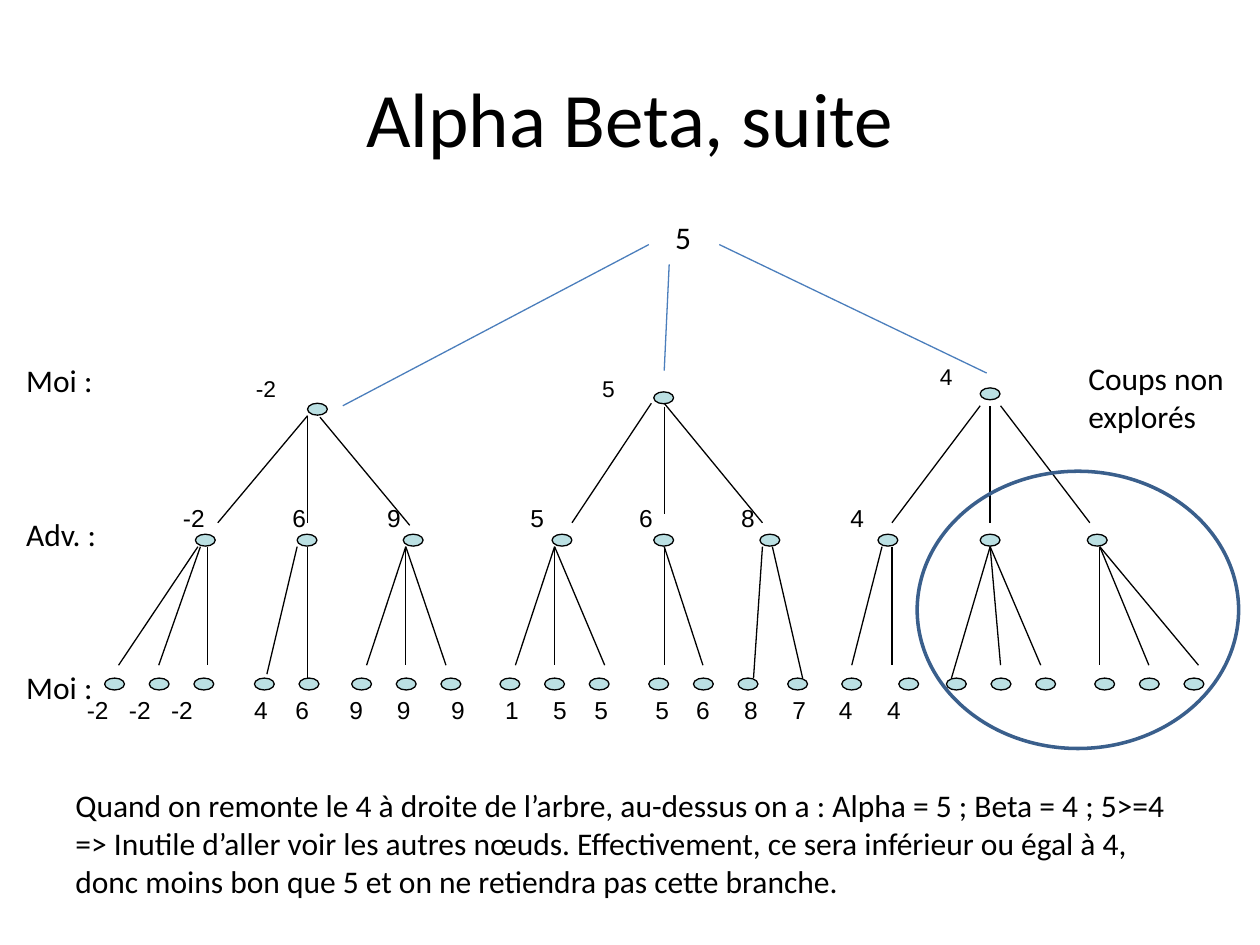
"""Build the alpha-beta pruning slide with its game tree."""
from lxml.etree import SubElement
from pptx import Presentation
from pptx.dml.color import RGBColor
from pptx.enum.shapes import MSO_CONNECTOR as Connector, MSO_SHAPE as Shape
from pptx.enum.text import MSO_ANCHOR as Anchor, PP_ALIGN as Align
from pptx.oxml.ns import qn
from pptx.util import Cm, Pt

THEME = {
    "black": RGBColor.from_string("000000"),
    "node": RGBColor.from_string("BBE0E3"),
    "root_line": RGBColor.from_string("4B7EBC"),
    "pruned": RGBColor.from_string("3A5F8C"),
    "text_font": "Calibri",
    "value_font": "Arial",
    "title_size": 44,
    "text_size": 18,
    "row_size": 14,
    "value_size": 13,
}

presentation = Presentation()
presentation.slide_width, presentation.slide_height = Cm(25.4), Cm(19.05)
slide = presentation.slides.add_slide(presentation.slide_layouts[6])


def add_text(text, left, top, width, height, size="text_size", font="text_font"):
    box = slide.shapes.add_textbox(Cm(left), Cm(top), Cm(width), Cm(height))
    frame = box.text_frame
    frame.word_wrap = True
    if font == "value_font":
        frame.margin_left = frame.margin_right = Cm(0.18)
        frame.margin_top = frame.margin_bottom = Cm(0.08)
    frame.text = text
    for paragraph in frame.paragraphs:
        for run in paragraph.runs:
            run.font.size = Pt(THEME[size])
            run.font.name = THEME[font]
            run.font.color.rgb = THEME["black"]
    return frame


def add_line(start_x, start_y, end_x, end_y, color="black"):
    line = slide.shapes.add_connector(
        Connector.STRAIGHT, Cm(start_x), Cm(start_y), Cm(end_x), Cm(end_y))
    line.line.color.rgb = THEME[color]
    line.line.width = Pt(0.75)
    SubElement(line._element.spPr, qn("a:effectLst"))


title = add_text("Alpha Beta, suite", 1.27, 0.76, 22.86, 3.18, "title_size")
title.vertical_anchor = Anchor.MIDDLE
title.paragraphs[0].alignment = Align.CENTER

nodes = [(6.2, 8.13), (13.18, 7.9), (19.76, 7.82)]
nodes += [(left, 10.77) for left in
          (3.94, 5.99, 8.13, 11.13, 13.18, 15.32, 17.7, 19.76, 21.92)]
leaf_groups = [
    (2.11, 3, 0.9), (5.13, 2, 0.9), (7.09, 3, 0.9),
    (10.08, 3, 0.9), (13.08, 2, 0.9), (14.88, 2, 1),
    (16.97, 2, 1.15), (19.08, 3, 0.9), (22.07, 3, 0.9),
]
for first_left, count, step in leaf_groups:
    nodes += [(first_left + index * step, 13.67) for index in range(count)]
for left, top in nodes:
    node = slide.shapes.add_shape(Shape.OVAL, Cm(left), Cm(top), Cm(0.4), Cm(0.24))
    node.shadow.inherit = False
    node.fill.solid()
    node.fill.fore_color.rgb = THEME["node"]
    node.line.color.rgb = THEME["black"]
    node.line.width = Pt(0.75)

SHORT, LONG = 13.41, 13.67
leaf_branches = [
    (3.99, SHORT, [2.39]), (4.04, SHORT, [3.2]), (4.19, SHORT, [4.19]),
    (5.99, 13.59, [5.38]), (6.2, LONG, [6.2]),
    (8.18, SHORT, [7.39, 8.18, 8.99]),
    (11.18, SHORT, [10.39, 11.18, 12.19]),
    (13.39, SHORT, [13.39, 14.17]),
    (15.37, LONG, [15.19]), (15.57, LONG, [16.18]),
    (17.78, SHORT, [17.17]), (17.98, SHORT, [17.98]),
    (19.96, LONG, [19.18]), (19.96, SHORT, [20.17, 20.98]),
    (22.17, SHORT, [22.17, 23.16, 24.16]),
]
for start_x, end_y, ends in leaf_branches:
    for end_x in ends:
        add_line(start_x, 11.02, end_x, end_y)

upper_branches = [
    (6.2, 8.38, 4.39, 10.54), (6.2, 8.38, 6.2, 10.54), (6.45, 8.41, 8.26, 10.59),
    (13.13, 8.13, 11.53, 10.54), (13.39, 8.2, 13.39, 10.36),
    (13.39, 8.13, 15.37, 10.54),
    (19.76, 8.18, 17.98, 10.54), (19.96, 8.18, 19.96, 10.54),
    (20.17, 8.18, 21.97, 10.54),
]
for branch in upper_branches:
    add_line(*branch)

value_rows = [
    (1.57, 13.94, 22.5, "-2 -2 -2 4 6 9 9 9 1 5 5 5 6 8 7 4 4",
     [2.82, 3.67, 5.26, 6.09, 7.18, 8.14, 9.23, 10.32, 11.29, 12.12,
      13.35, 14.17, 15.14, 16.11, 17.05, 18.02]),
    (3.51, 10.06, 20, "-2 6 9 5 6 8 4",
     [6.03, 7.94, 10.83, 13.02, 15.08, 17.28]),
]
for left, top, width, values, centers in value_rows:
    row = add_text("\t".join(values.split()), left, top, width, 1.12,
                   "row_size", "value_font")
    properties = row.paragraphs[0]._p.get_or_add_pPr()
    tab_list = SubElement(properties, qn("a:tabLst"))
    for center in centers:
        SubElement(tab_list, qn("a:tab"), pos=str(int(Cm(center - left - 0.18))), algn="ctr")

for value, left, top in [("-2", 4.98, 7.47), ("5", 11.96, 7.47), ("4", 18.77, 7.24)]:
    add_text(value, left, top, 1.19, 1.32, "value_size", "value_font")

levels = add_text("Moi :\nAdv. :\nMoi :", 0.28, 7.16, 2.9, 7.19)
for paragraph in levels.paragraphs[1:]:
    paragraph.space_before = Pt(66)

for branch in [(6.91, 8.18, 13.08, 4.93), (14.5, 4.93, 19.89, 7.52),
               (13.39, 7.47, 13.49, 5.33)]:
    add_line(*branch, color="root_line")
add_text("5", 13.36, 4.27, 0.9, 1.02)

add_text("Quand on remonte le 4 à droite de l’arbre, au-dessus on a : "
         "Alpha = 5 ; Beta = 4 ; 5>=4 => Inutile d’aller voir les autres nœuds. "
         "Effectivement, ce sera inférieur ou égal à 4, donc moins bon que 5 "
         "et on ne retiendra pas cette branche.", 1.27, 15.72, 22.81, 2.57)

pruned_area = slide.shapes.add_shape(Shape.OVAL, Cm(18.49), Cm(9.5), Cm(6.48), Cm(5.59))
pruned_area.shadow.inherit = False
pruned_area.fill.background()
pruned_area.line.color.rgb = THEME["pruned"]
pruned_area.line.width = Pt(2)
add_text("Coups non explorés", 21.69, 7.11, 3.25, 2.57)

presentation.save("out.pptx")
